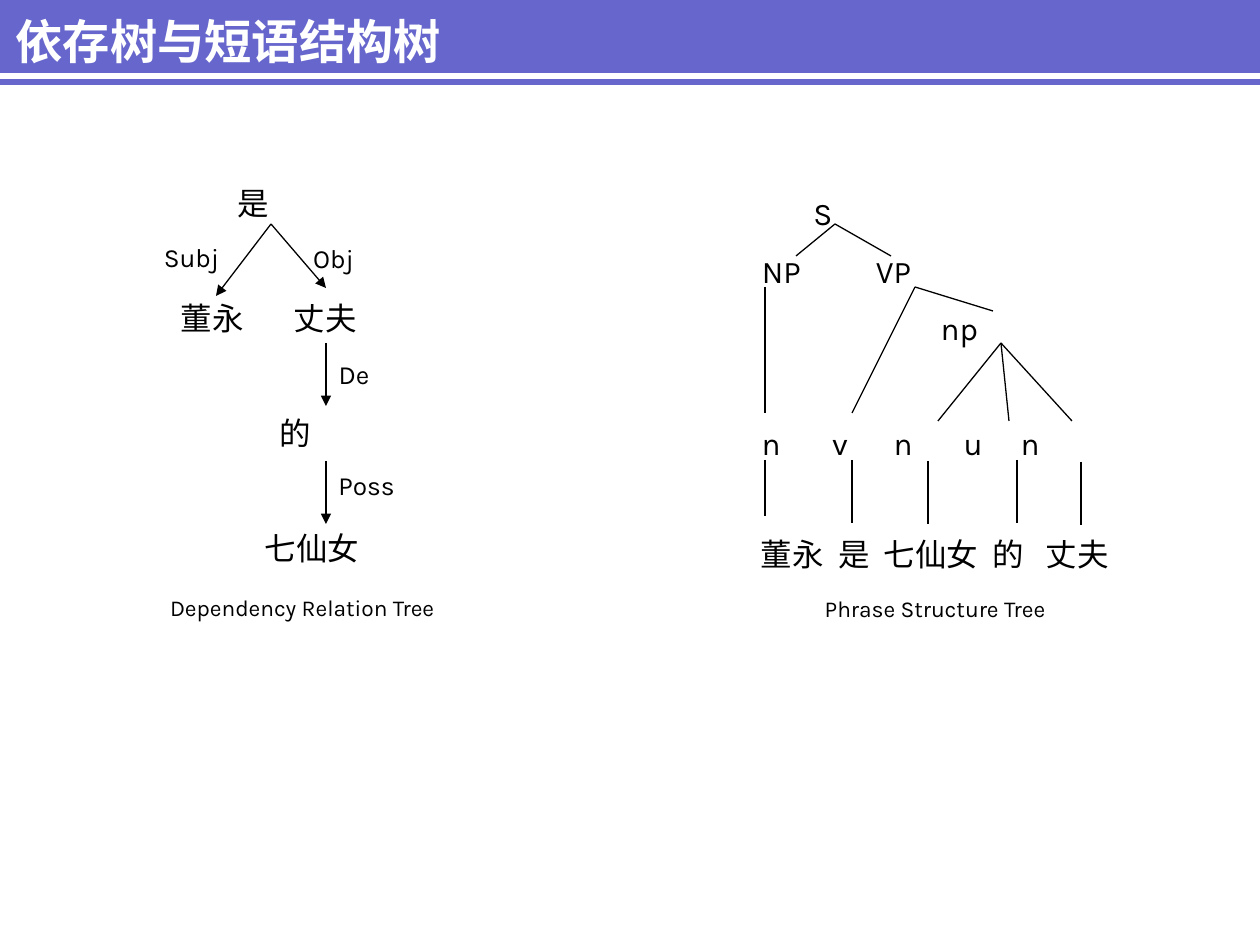
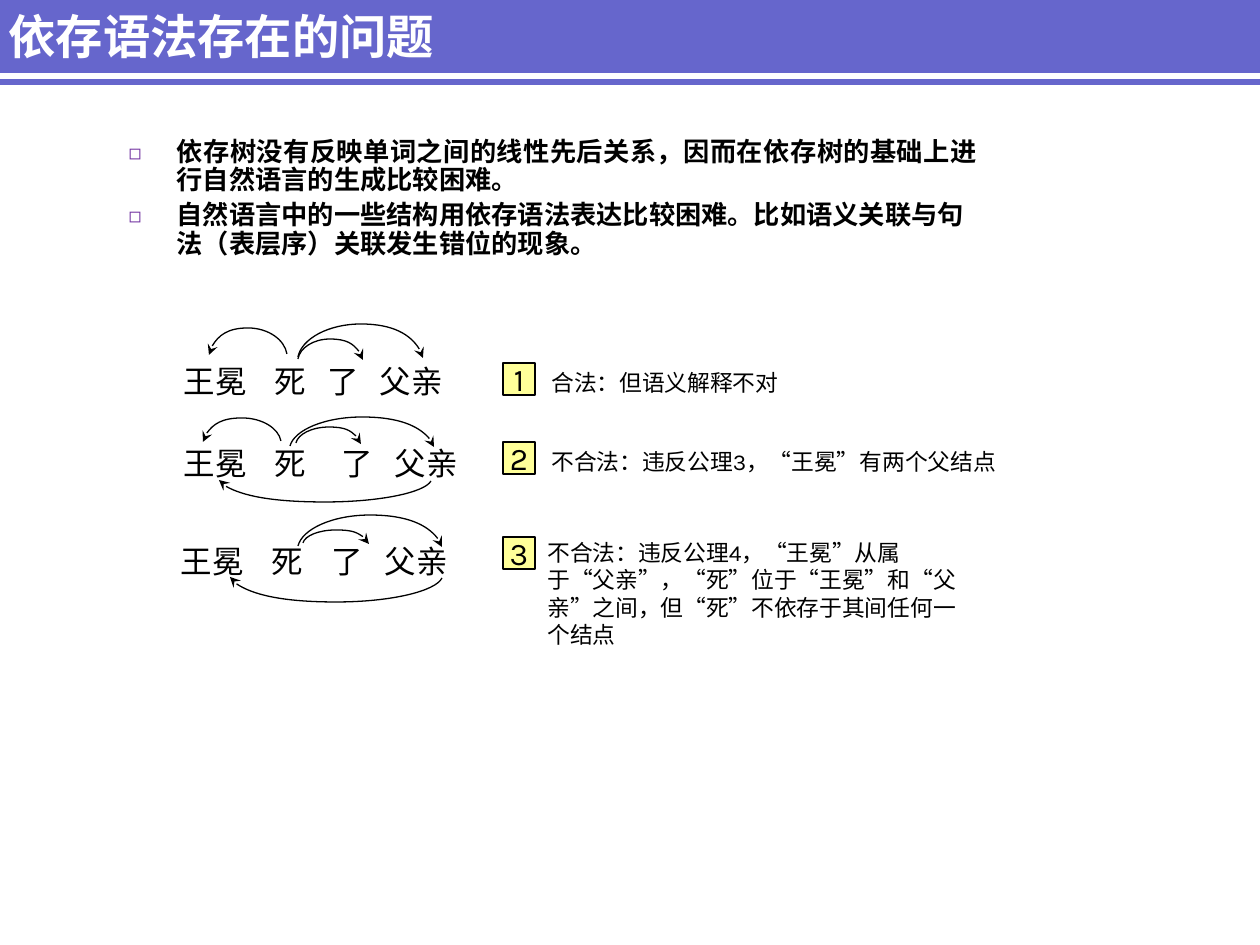
from lxml.etree import SubElement
from pptx import Presentation
from pptx.dml.color import RGBColor
from pptx.enum.shapes import MSO_CONNECTOR as Link, MSO_SHAPE as Preset
from pptx.enum.text import MSO_ANCHOR as Anchor, MSO_AUTO_SIZE as Fit, PP_ALIGN as Align
from pptx.oxml.ns import qn
from pptx.util import Pt

SCALE = 914400 / 126
PX_PER_POINT = 126 / 72
LATIN, HAN = "Karla", "Noto Sans CJK SC"
BAND, PAPER, INK, TAG, BULLET = "6666CC", "FFFFFF", "000000", "FFFF99", "7030A0"


def emu(px):
    return round(px * SCALE)


def color(value):
    return RGBColor.from_string(value)


class Sheet:
    def __init__(self):
        self.deck = Presentation()
        self.deck.slide_width, self.deck.slide_height = emu(1260), emu(945)
        self.page = None

    def new_page(self, layout, title, left, top, width, height):
        self.page = self.deck.slides.add_slide(self.deck.slide_layouts[layout])
        box = self.page.shapes.title
        self.place(box, left, top, width, height)
        box.text_frame.text = title
        box.text_frame.vertical_anchor = Anchor.MIDDLE
        self.style(box, 27, HAN, PAPER, True)

    def place(self, box, left, top, width, height):
        box.left, box.top, box.width, box.height = map(emu, (left, top, width, height))
        box.text_frame.auto_size = Fit.NONE

    def style(self, box, size, latin=LATIN, ink=INK, bold=False, align=Align.LEFT):
        for para in box.text_frame.paragraphs:
            para.alignment = align
            for span in para.runs:
                span.font.size, span.font.bold, span.font.name = Pt(size), bold, latin
                span.font.color.rgb = color(ink)
        for props in box.element.xpath(".//a:rPr"):
            SubElement(props, qn("a:ea"), typeface=HAN)

    def share(self, shape):
        tree = self.deck.slide_master.shapes.element
        shape.element.xpath(".//p:cNvPr")[0].set("id", str(len(tree) + 10))
        tree.append(shape.element)

    def rect(self, left, top, width, height, fill, outline=None):
        shape = self.page.shapes.add_shape(Preset.RECTANGLE, *map(emu, (left, top, width, height)))
        shape.shadow.inherit = False
        shape.fill.solid()
        shape.fill.fore_color.rgb = color(fill)
        if outline:
            self.stroke(shape, outline)
        else:
            shape.line.fill.background()
        return shape

    def stroke(self, shape, ink=INK, weight=0.75, **arrow):
        shape.line.color.rgb = color(ink)
        shape.line.width = Pt(weight)
        outline = shape.element.xpath(".//a:ln")[0]
        for end, kind in arrow.items():
            SubElement(outline, qn(f"a:{end}"), type=kind)

    def line(self, start, end, ink=INK, weight=0.75, **arrow):
        link = self.page.shapes.add_connector(Link.STRAIGHT, *map(emu, start + end))
        self.stroke(link, ink, weight, **arrow)
        SubElement(link.element.spPr, qn("a:effectLst"))
        return link

    def arrow(self, start, end):
        self.line(start, end, tailEnd="triangle")

    def arc(self, tip, apex, tail):
        points = [tuple(map(emu, point)) for point in (tip, apex, tail)]
        builder = self.page.shapes.build_freeform(*points[0])
        builder.add_line_segments(points[1:], close=False)
        shape = builder.convert_to_shape()
        shape.shadow.inherit = False
        shape.fill.background()
        self.stroke(shape, headEnd="stealth")
        first, middle, last = [(int(point.get("x")), int(point.get("y")))
                               for point in shape.element.xpath(".//a:path/*/a:pt")]
        for leg, foot in zip(shape.element.xpath(".//a:lnTo"), (first, last)):
            run, rise = middle[0] - foot[0], middle[1] - foot[1]
            near = (foot[0] + 0.06 * run, foot[1] + 0.55 * rise)
            far = (middle[0] - 0.52 * run, middle[1])
            curve = [near, far, middle] if foot is first else [far, near, last]
            leg.clear()
            bend = SubElement(leg.getparent(), qn("a:cubicBezTo"))
            leg.getparent().replace(leg, bend)
            for x, y in curve:
                SubElement(bend, qn("a:pt"), x=str(round(x)), y=str(round(y)))

    def word(self, text, center, middle, size=18):
        width = round(len(text) * size * PX_PER_POINT)
        height = round(1.5 * size * PX_PER_POINT)
        box = self.page.shapes.add_textbox(0, 0, 0, 0)
        self.place(box, center - width // 2, middle - height // 2, width, height)
        frame = box.text_frame
        frame.margin_left = frame.margin_right = frame.margin_top = frame.margin_bottom = 0
        frame.vertical_anchor = Anchor.MIDDLE
        frame.word_wrap = False
        frame.text = text
        self.style(box, size, align=Align.CENTER)

    def words(self, items, size=18):
        for text, center, middle in items:
            self.word(text, center, middle, size)

    def note(self, text, left, top, width, height):
        box = self.page.shapes.add_textbox(*map(emu, (left, top, width, height)))
        box.text_frame.word_wrap = True
        box.text_frame.text = text
        box.text_frame.paragraphs[0].line_spacing = Pt(15.7)
        self.style(box, 13)

    def tag(self, text, left, top):
        box = self.rect(left, top, 32, 32, TAG, INK)
        box.text_frame.text = text
        box.text_frame.word_wrap = False
        box.text_frame.vertical_anchor = Anchor.MIDDLE
        self.style(box, 18, align=Align.CENTER)

    def bullets(self, items, left, top, width, height):
        box = self.page.placeholders[1]
        self.place(box, left, top, width, height)
        box.text_frame.text = "\n".join(items)
        self.style(box, 15, HAN, bold=True)
        box.text_frame.paragraphs[0].alignment = Align.JUSTIFY
        for para in box.text_frame.paragraphs:
            para.line_spacing, para.space_before = Pt(16.2), Pt(3.7)
        for props in box.element.xpath(".//a:pPr"):
            props.set("marL", str(emu(48)))
            props.set("indent", str(emu(-48)))
            SubElement(SubElement(props, qn("a:buClr")), qn("a:srgbClr"), val=BULLET)
            SubElement(props, qn("a:buSzPct"), val="80000")
            SubElement(props, qn("a:buFont"), typeface=HAN)
            SubElement(props, qn("a:buChar"), char="◻")


def draw_trees(sheet):
    sheet.new_page(5, "依存树与短语结构树", 3, 5, 556, 72)
    sheet.share(sheet.rect(-5, -4, 1265, 89, BAND))
    sheet.share(sheet.line((-5, 76), (1260, 76), PAPER, 3))

    sheet.words([("是", 253, 202), ("董永", 212, 317), ("丈夫", 325, 317),
                 ("的", 295, 432), ("七仙女", 312, 547)])
    sheet.words([("Subj", 191, 257), ("Obj", 333, 258), ("De", 354, 374), ("Poss", 366, 485)], 15)
    root = (271, 224)
    sheet.arrow(root, (216, 296))
    sheet.arrow(root, (326, 288))
    for top in (343, 461):
        sheet.arrow((326, top), (326, top + 63))

    sheet.words([("S", 823, 212), ("NP", 781, 270), ("VP", 893, 270), ("np", 959, 327)])
    for kind, center in zip("nvnun", (771, 840, 903, 973, 1030)):
        sheet.word(kind, center, 442)
    for leaf, center in zip(("董永", "是", "七仙女", "的", "丈夫"), (792, 854, 931, 1008, 1077)):
        sheet.word(leaf, center, 553)
    branches = {
        (835, 224): [(796, 256), (891, 256)],
        (915, 287): [(852, 413), (993, 311)],
        (1001, 343): [(938, 421), (1009, 421), (1072, 421)],
        (765, 287): [(765, 413)],
    }
    for parent, children in branches.items():
        for child in children:
            sheet.line(parent, child)
    for x, top, bottom in ((765, 460, 516), (852, 460, 523), (928, 461, 524),
                           (1017, 460, 523), (1081, 462, 525)):
        sheet.line((x, top), (x, bottom))
    sheet.words([("Dependency Relation Tree", 302, 607), ("Phrase Structure Tree", 935, 608)], 13)


def draw_problems(sheet):
    sheet.new_page(1, "依存语法存在的问题", -4, 4, 539, 64)
    sheet.bullets([
        "依存树没有反映单词之间的线性先后关系，因而在依存树的基础上进行自然语言的生成比较困难。",
        "自然语言中的一些结构用依存语法表达比较困难。比如语义关联与句法（表层序）关联发生错位的现象。",
    ], 116, 132, 874, 135)

    for middle, centers in ((380, (215, 290, 343, 411)), (462, (215, 290, 357, 426)),
                            (560, (212, 287, 347, 416))):
        for text, center in zip(("王冕", "死", "了", "父亲"), centers):
            sheet.word(text, center, middle)

    for tip, apex, tail in (
        ((209, 355), (248, 328), (287, 354)),
        ((423, 358), (361, 324), (298, 357)),
        ((363, 360), (330, 339), (298, 359)),
        ((203, 442), (242, 418), (281, 441)),
        ((434, 447), (362, 417), (290, 446)),
        ((361, 444), (329, 427), (296, 443)),
        ((219, 480), (325, 502), (431, 481)),
        ((442, 547), (370, 515), (298, 546)),
        ((369, 544), (336, 530), (303, 543)),
        ((230, 577), (336, 602), (442, 578)),
    ):
        sheet.arc(tip, apex, tail)

    for number, top in zip("123", (363, 442, 537)):
        sheet.tag(number, 503, top)
    sheet.note("合法：但语义解释不对", 539, 362, 459, 40)
    sheet.note("不合法：违反公理3，“王冕”有两个父结点", 539, 441, 505, 40)
    sheet.note("不合法：违反公理4，“王冕”从属于“父亲”，“死”位于“王冕”和“父亲”之间，"
               "但“死”不依存于其间任何一个结点", 535, 532, 441, 122)


def main():
    sheet = Sheet()
    draw_trees(sheet)
    draw_problems(sheet)
    sheet.deck.save("out.pptx")


if __name__ == "__main__":
    main()
